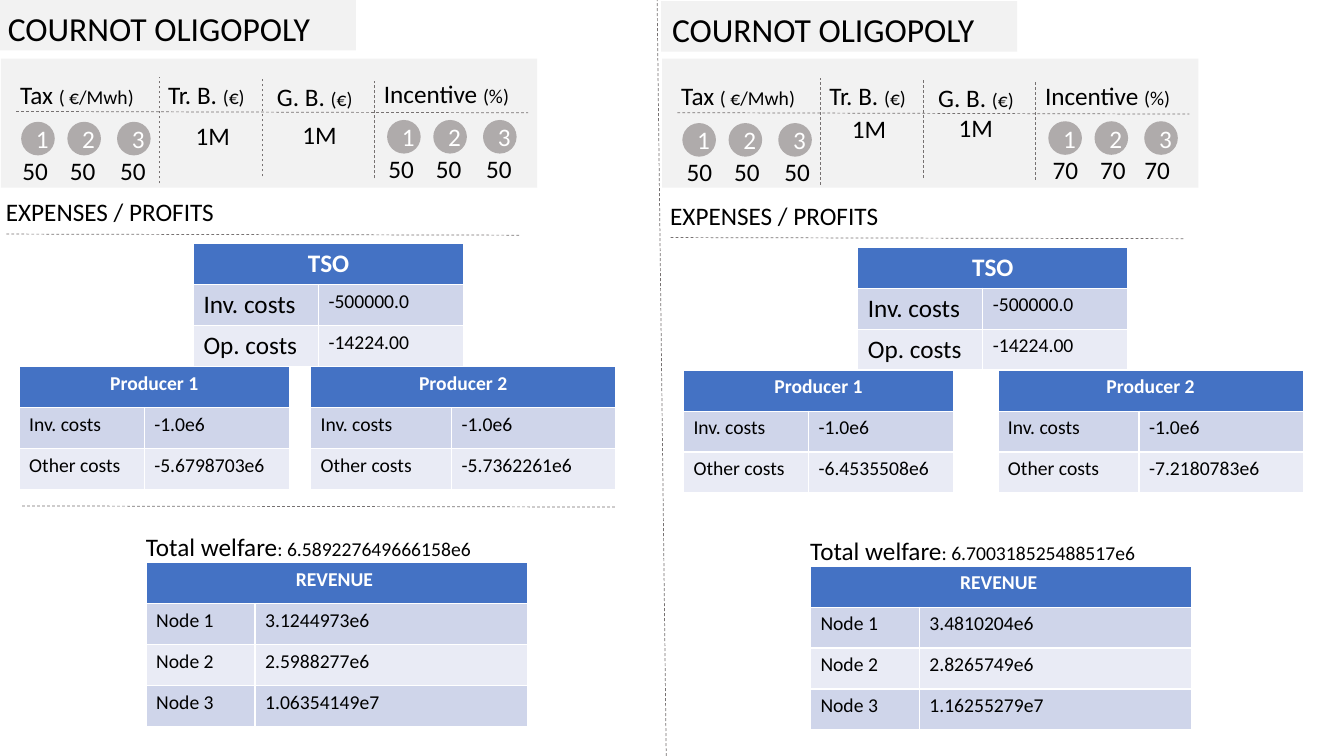
"""Build a slide comparing two Cournot oligopoly scenarios side by side."""
from dataclasses import dataclass

import lxml.etree
import pptx
import pptx.dml.color
import pptx.enum.dml
import pptx.enum.shapes
import pptx.enum.text
import pptx.oxml.ns
import pptx.slide
import pptx.text.text
import pptx.util

Pt = pptx.util.Pt
ALIGN = pptx.enum.text.PP_ALIGN
ANCHOR = pptx.enum.text.MSO_ANCHOR
SHAPE = pptx.enum.shapes.MSO_SHAPE
NO_STYLE = "{2D5ABB26-0587-4C30-8999-92F81FD0307C}"
BLACK, WHITE, GREY, LIGHT = "000000", "FFFFFF", "AFABAB", "F2F2F2"
HEADER, BANDS, RULE = "4472C4", ("CFD5EA", "E9EBF5"), "767171"
ROW_HEIGHT = 29.2
CIRCLE = 24
CIRCLE_STEPS = (0, 33, 68.5)
LABEL_STEPS = (0, 34, 69.8)


@dataclass(frozen=True)
class Grid:
    title: str
    x: float
    y: float
    widths: tuple[float, float]
    rows: tuple[tuple[str, str], ...]
    label_size: float = 14


@dataclass(frozen=True)
class Panel:
    header_x: float
    header_y: float
    body_x: float
    body_y: float
    money_x: float
    money_y: float
    incentive: str
    incentive_steps: tuple[float, ...]
    producer2_x: float
    other_costs: tuple[str, str]
    welfare: str
    revenue: tuple[str, ...]


PANELS = (
    Panel(0, 0, 0, 0, 0, 0, "50", LABEL_STEPS, 221.8,
          ("-5.6798703e6", "-5.7362261e6"), "6.589227649666158e6",
          ("3.1244973e6", "2.5988277e6", "1.06354149e7")),
    Panel(472.3, 0.9, 474.5, 2.5, 468.7, -5, "70", (0, 34, 65.5), 712.8,
          ("-6.4535508e6", "-7.2180783e6"), "6.700318525488517e6",
          ("3.4810204e6", "2.8265749e6", "1.16255279e7")),
)


def rgb(value: str) -> pptx.dml.color.RGBColor:
    return pptx.dml.color.RGBColor.from_string(value)


def style(p: pptx.text.text._Paragraph, size: float, color: str = BLACK, bold: bool = False) -> None:
    p.font.name = "Calibri"
    p.font.size = Pt(size)
    p.font.bold = bold
    p.font.color.rgb = rgb(color)


def add_text(s: pptx.slide.Slide, x: float, y: float, w: float, text: str,
             size: float = 18, detail: str = "") -> None:
    sp = s.shapes.add_textbox(Pt(x), Pt(y), Pt(w), Pt(size * 1.2 + 7.2))
    tf = sp.text_frame
    tf.word_wrap = False
    tf.auto_size = pptx.enum.text.MSO_AUTO_SIZE.SHAPE_TO_FIT_TEXT
    p = tf.paragraphs[0]
    style(p, size)
    p.add_run().text = text
    if detail:
        r = p.add_run()
        r.text = detail
        r.font.size = Pt(14)


def add_fill(s: pptx.slide.Slide, kind: SHAPE, x: float, y: float, w: float, h: float,
             color: str, text: str = "") -> None:
    sp = s.shapes.add_shape(kind, Pt(x), Pt(y), Pt(w), Pt(h))
    sp.shadow.inherit = False
    sp.fill.solid()
    sp.fill.fore_color.rgb = rgb(color)
    sp.line.fill.background()
    if text:
        tf = sp.text_frame
        tf.vertical_anchor = ANCHOR.MIDDLE
        p = tf.paragraphs[0]
        p.text = text
        p.alignment = ALIGN.CENTER
        style(p, 18, WHITE)


def add_rule(s: pptx.slide.Slide, x1: float, y1: float, x2: float, y2: float) -> None:
    cn = s.shapes.add_connector(pptx.enum.shapes.MSO_CONNECTOR.STRAIGHT, Pt(x1), Pt(y1), Pt(x2), Pt(y2))
    cn.line.color.rgb = rgb(RULE)
    cn.line.width = Pt(0.5)
    cn.line.dash_style = pptx.enum.dml.MSO_LINE.DASH
    lxml.etree.SubElement(cn._element.spPr, pptx.oxml.ns.qn("a:effectLst"))


def add_grid(s: pptx.slide.Slide, grid: Grid) -> None:
    rows = len(grid.rows) + 1
    table = s.shapes.add_table(rows, 2, Pt(grid.x), Pt(grid.y), Pt(sum(grid.widths)),
                               Pt(rows * ROW_HEIGHT)).table
    for column, width in zip(table.columns, grid.widths):
        column.width = Pt(width)
    for row in table.rows:
        row.height = Pt(ROW_HEIGHT)
    head = table.cell(0, 0)
    head.merge(table.cell(0, 1))
    head.text = grid.title
    head.fill.solid()
    head.fill.fore_color.rgb = rgb(HEADER)
    p = head.text_frame.paragraphs[0]
    p.alignment = ALIGN.CENTER
    style(p, grid.label_size, WHITE, True)
    for i, values in enumerate(grid.rows):
        for j, (text, size) in enumerate(zip(values, (grid.label_size, 14))):
            cell = table.cell(i + 1, j)
            cell.text = text
            cell.fill.solid()
            cell.fill.fore_color.rgb = rgb(BANDS[i % 2])
            style(cell.text_frame.paragraphs[0], size)


def add_money(s: pptx.slide.Slide, x: float, y: float, w: float) -> None:
    table = s.shapes.add_table(1, 1, Pt(x), Pt(y), Pt(w), Pt(22.3)).table
    table._tbl.tblPr.find(pptx.oxml.ns.qn("a:tableStyleId")).text = NO_STYLE
    cell = table.cell(0, 0)
    cell.text = "1M"
    cell.fill.background()
    cell.vertical_anchor = ANCHOR.BOTTOM
    cell.margin_left = cell.margin_right = cell.margin_top = Pt(0.7)
    cell.margin_bottom = 0
    p = cell.text_frame.paragraphs[0]
    p.alignment = ALIGN.RIGHT
    style(p, 18)


def add_header(s: pptx.slide.Slide, panel: Panel) -> None:
    x, y = panel.header_x, panel.header_y
    add_fill(s, SHAPE.RECTANGLE, x, y, 254.2, 36, LIGHT)
    add_text(s, panel.body_x - 1.5, y + 2, 232.6, "COURNOT OLIGOPOLY", 24)
    add_fill(s, SHAPE.RECTANGLE, x + 0.7, 41.8, 383, 92.2, LIGHT)
    for left, top, w, text, unit in ((7.2, 53.3, 99.4, "Tax ", "( €/Mwh)"), (113, 53.3, 69.8, "Tr. B. ", "(€)"),
                                     (190.8, 54.7, 69.1, "G. B. ", "(€)"), (267.1, 52.6, 105.1, "Incentive ", "(%)")):
        add_text(s, x + left, y + top, w, text, detail=unit)
    for left, top, bottom in ((113.8, 54.7, 131), (187.2, 56.2, 126), (267.1, 57.6, 127.4)):
        add_rule(s, x + left, y + bottom, x + left, y + top)
    add_rule(s, x + 11.5, y + 79.6, x + 377.3, y + 80.6)
    for left, top, text, steps in ((15.1, 87, "50", LABEL_STEPS),
                                   (276.5, 85.7, panel.incentive, panel.incentive_steps)):
        for i, (circle, label) in enumerate(zip(CIRCLE_STEPS, steps), 1):
            add_fill(s, SHAPE.OVAL, x + left + circle, y + top, CIRCLE, CIRCLE, GREY, str(i))
            add_text(s, panel.body_x + left - 6.2 + label, y + top + 20.2, 33.1, text)
    add_money(s, panel.money_x + 133.9, panel.money_y + 86.4, 31)
    add_money(s, panel.money_x + 207.4, panel.money_y + 85.7, 33.8)


def add_body(s: pptx.slide.Slide, panel: Panel) -> None:
    x, y = panel.body_x, panel.body_y
    add_text(s, x - 2.9, y + 136.8, 164.2, "EXPENSES / PROFITS")
    add_rule(s, x + 4.5, y + 167.2, x + 370.8, y + 168)
    producers = ((x + 13.7, (89.3, 103.7)), (panel.producer2_x, (100.8, 117.4)))
    for i, ((left, widths), other) in enumerate(zip(producers, panel.other_costs), 1):
        add_grid(s, Grid(f"Producer {i}", left, y + 262, widths,
                         (("Inv. costs", "-1.0e6"), ("Other costs", other))))
    add_grid(s, Grid("TSO", x + 138.2, y + 174.2, (89.3, 103.7),
                     (("Inv. costs", "-500000.0"), ("Op. costs", "-14224.00")), 18))
    add_text(s, x + 97.2, y + 376, 252, "Total welfare", detail=f": {panel.welfare}")
    add_grid(s, Grid("REVENUE ", x + 104.4, y + 402, (77.8, 194.4),
                     tuple((f"Node {i}", value) for i, value in enumerate(panel.revenue, 1))))


def main() -> None:
    prs = pptx.Presentation()
    prs.slide_width, prs.slide_height = Pt(960), Pt(540)
    s = prs.slides.add_slide(prs.slide_layouts[6])
    add_rule(s, 475.9, 540, 469.4, 0)
    for panel in PANELS:
        add_header(s, panel)
        add_body(s, panel)
    add_rule(s, 15.8, 361.4, 439.9, 362.2)
    prs.save("out.pptx")


if __name__ == "__main__":
    main()
